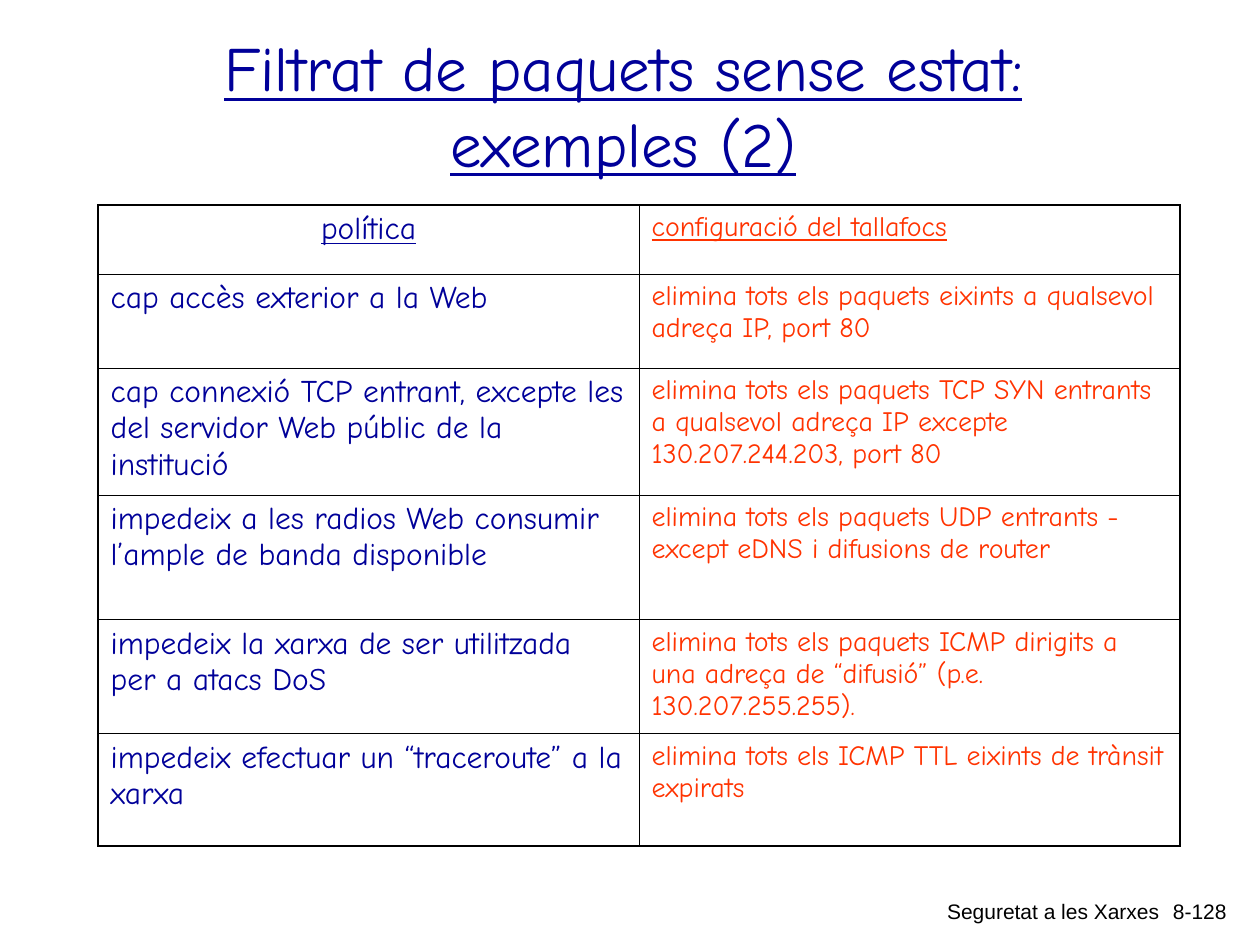
from lxml import etree
from pptx import Presentation
from pptx import util as u
from pptx.dml.color import RGBColor
from pptx.enum import text
from pptx.oxml.ns import qn

PX = 914400 // 126
NAVY, ORANGE, BLACK = "000099", "FF3300", "000000"
THIN, THICK = 0.45, 1.08
ALIGN = text.PP_ALIGN

ROWS = [
    (69, "política", "configuració del tallafocs"),
    (94, "cap accès exterior a la Web",
     "elimina tots els paquets eixints a qualsevol adreça IP, port 80"),
    (127, "cap connexió TCP entrant, excepte les del servidor Web públic de la institució",
     "elimina tots els paquets TCP SYN entrants a qualsevol adreça IP excepte "
     "130.207.244.203, port 80"),
    (125, "impedeix a les radios Web consumir l’ample de banda disponible",
     "elimina tots els paquets UDP entrants - except eDNS i difusions de router"),
    (114, "impedeix la xarxa de ser utilitzada per a atacs DoS",
     "elimina tots els paquets ICMP dirigits a una adreça de “difusió” (p.e. 130.207.255.255)."),
    (112, "impedeix efectuar un “traceroute” a la xarxa",
     "elimina tots els ICMP TTL eixints de trànsit expirats"),
]


def write(frame, words, size, color, font="Comic Neue", align=ALIGN.LEFT, underline=False):
    frame.word_wrap = True
    paragraph = frame.paragraphs[0]
    paragraph.text = words
    paragraph.alignment = align
    paragraph.font.name = font
    paragraph.font.size = u.Pt(size)
    paragraph.font.underline = underline
    paragraph.font.color.rgb = RGBColor.from_string(color)


def add_border(cell, side, width):
    properties = cell._tc.get_or_add_tcPr()
    line = etree.SubElement(properties, qn(f"a:ln{side}"), w=str(u.Pt(width)))
    fill = etree.SubElement(line, qn("a:solidFill"))
    etree.SubElement(fill, qn("a:srgbClr"), val=BLACK)


presentation = Presentation()
presentation.slide_width, presentation.slide_height = 1260 * PX, 945 * PX
slide = presentation.slides.add_slide(presentation.slide_layouts[6])

title = slide.shapes.add_textbox(88 * PX, 39 * PX, 1071 * PX, 130 * PX)
title.text_frame.vertical_anchor = text.MSO_ANCHOR.MIDDLE
write(title.text_frame, "Filtrat de paquets sense estat: exemples (2)", 36, NAVY,
      align=ALIGN.CENTER, underline=True)

heights = [row[0] for row in ROWS]
table = slide.shapes.add_table(len(ROWS), 2, 98 * PX, 205 * PX,
                               1082 * PX, sum(heights) * PX).table
for column in table.columns:
    column.width = 541 * PX

last = len(ROWS) - 1
for i, (height, policy, setting) in enumerate(ROWS):
    table.rows[i].height = height * PX
    for j, (words, size, color) in enumerate([(policy, 18, NAVY), (setting, 16, ORANGE)]):
        cell = table.cell(i, j)
        centered = i == 0 and j == 0
        write(cell.text_frame, words, size, color, underline=i == 0,
              align=ALIGN.CENTER if centered else ALIGN.LEFT)
        outer = {"L": j == 0, "R": j == 1, "T": i == 0, "B": i == last}
        for side, is_outer in outer.items():
            add_border(cell, side, THICK if is_outer else THIN)
        cell.fill.background()

for left, width, words in [(640, 532, "Seguretat a les Xarxes"), (1145, 94, "8-128")]:
    footer = slide.shapes.add_textbox(left * PX, 892 * PX, width * PX, 42 * PX)
    write(footer.text_frame, words, 12, BLACK, font="Arial", align=ALIGN.RIGHT)

presentation.save("out.pptx")
